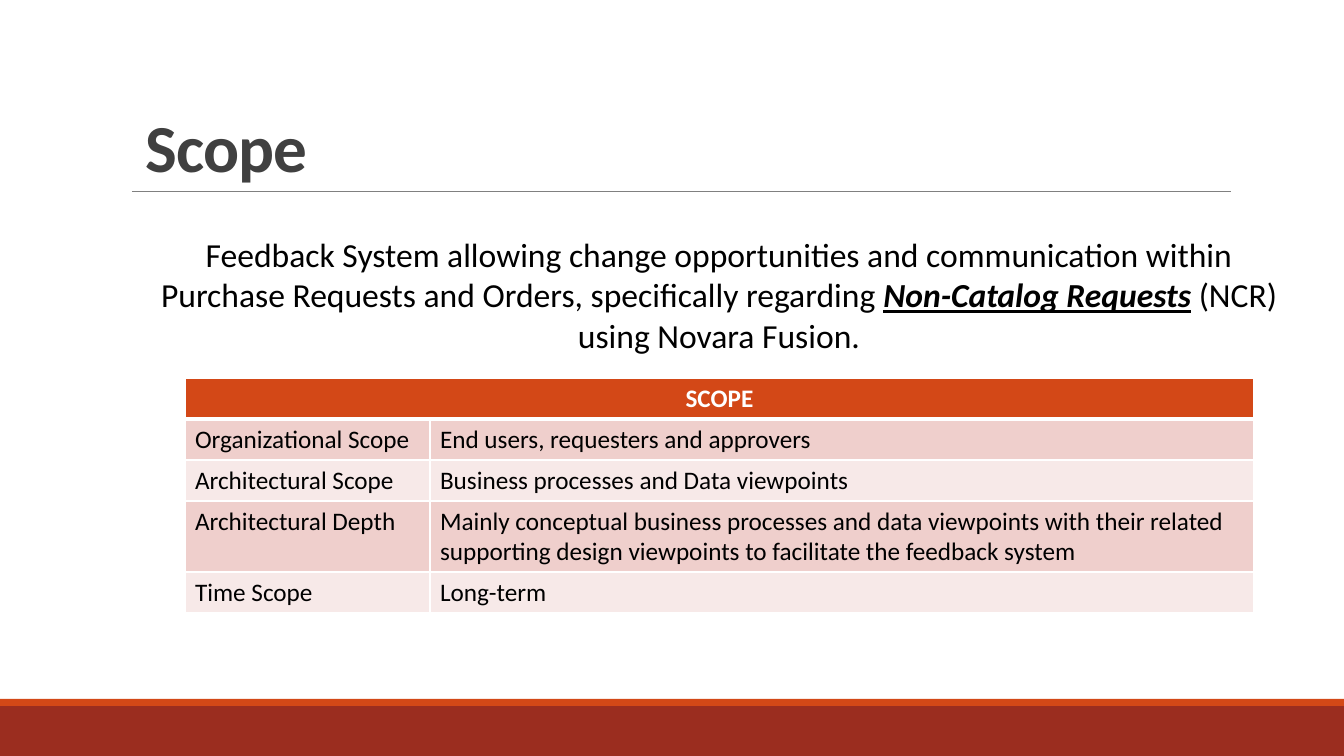
from lxml import etree
from pptx import Presentation, util as u
from pptx.dml.color import RGBColor
from pptx.enum import shapes, text
from pptx.oxml.ns import qn

# Content
TITLE = "Scope"
SUMMARY = [
    ("Feedback System allowing change opportunities and communication within "
     "Purchase Requests and Orders, specifically regarding ", {}),
    ("Non-Catalog Requests", {"bold": True, "italic": True, "underline": True}),
    (" (NCR) using Novara Fusion.", {}),
]
HEADER = "SCOPE"
SCOPES = [
    ("Organizational Scope", "End users, requesters and approvers"),
    ("Architectural Scope", "Business processes and Data viewpoints"),
    ("Architectural Depth",
     "Mainly conceptual business processes and data viewpoints with their related "
     "supporting design viewpoints to facilitate the feedback system"),
    ("Time Scope", "Long-term"),
]

# Style and layout, lengths in px
COLORS = {
    "accent": "D34817", "footer": "9B2D1F", "rule": "808080", "title": "404040",
    "black": "000000", "white": "FFFFFF", "odd": "EFCFCC", "even": "F7E9E8",
}
FONT = "Calibri"
PX = u.Inches(1) / 100.8
PAGE_W, PAGE_H = 1344, 756
FOOTER_BANDS = [("footer", 706, 50), ("accent", 699, 7)]
RULE = (132, 191, 1231, 191)
TITLE_BOX = (121, 31, 1109, 160)
SUMMARY_BOX = (138, 229, 1162, 132)
TABLE_LEFT, TABLE_TOP = 185, 378
COLUMNS = [245, 824]
ROWS = [41, 41, 41, 71, 41]


def px(*lengths):
    return [u.Emu(round(length * PX)) for length in lengths]


def color(name):
    return RGBColor.from_string(COLORS[name])


def add_span(para, words, size, tint, **formats):
    span = para.add_run()
    span.text = words
    span.font.color.rgb = color(tint)
    for name, value in {"name": FONT, "size": u.Pt(size), **formats}.items():
        setattr(span.font, name, value)
    return span


def add_text_box(page, place, **formats):
    frame = page.shapes.add_textbox(*px(*place)).text_frame
    for name, value in {"word_wrap": True, **formats}.items():
        setattr(frame, name, value)
    return frame.paragraphs[0]


def set_borders(cell, **widths):
    properties = cell._tc.get_or_add_tcPr()
    for index, side in enumerate("LRTB"):
        line = etree.Element(qn(f"a:ln{side}"), w=str(u.Pt(widths.get(side, 1))))
        fill = etree.SubElement(line, qn("a:solidFill"))
        etree.SubElement(fill, qn("a:srgbClr"), val=COLORS["white"])
        properties.insert(index, line)


def add_frame(page):
    # Footer bands and the rule below the title
    for tint, top, height in FOOTER_BANDS:
        band = page.shapes.add_shape(shapes.MSO_SHAPE.RECTANGLE,
                                     *px(0, top, PAGE_W, height))
        band.shadow.inherit = False
        band.fill.solid()
        band.fill.fore_color.rgb = color(tint)
        band.line.fill.background()
    rule = page.shapes.add_connector(shapes.MSO_CONNECTOR.STRAIGHT, *px(*RULE))
    rule.line.color.rgb = color("rule")
    rule.line.width = u.Pt(0.5)
    etree.SubElement(rule._element.spPr, qn("a:effectLst"))


def add_scope_table(page):
    table = page.shapes.add_table(
        len(ROWS), len(COLUMNS),
        *px(TABLE_LEFT, TABLE_TOP, sum(COLUMNS), sum(ROWS))).table
    for column, width in zip(table.columns, px(*COLUMNS)):
        column.width = width
    for row, height in zip(table.rows, px(*ROWS)):
        row.height = height
    table.cell(0, 0).merge(table.cell(0, 1))

    for r, words in enumerate([(HEADER, "")] + SCOPES):
        header = r == 0
        shade = "accent" if header else "odd" if r % 2 else "even"
        for c, word in enumerate(words):
            cell = table.cell(r, c)
            cell.fill.solid()
            cell.fill.fore_color.rgb = color(shade)
            set_borders(cell, T=3 if r == 1 else 1, B=3 if header else 1)
            if word:
                para = cell.text_frame.paragraphs[0]
                if header:
                    para.alignment = text.PP_ALIGN.CENTER
                add_span(para, word, 18, "white" if header else "black", bold=header)


def main():
    deck = Presentation()
    deck.slide_width, deck.slide_height = px(PAGE_W, PAGE_H)
    page = deck.slides.add_slide(deck.slide_layouts[6])
    add_frame(page)

    # Title
    para = add_text_box(page, TITLE_BOX, margin_left=px(24)[0],
                        vertical_anchor=text.MSO_ANCHOR.BOTTOM)
    para.line_spacing = 0.85
    span = add_span(para, TITLE, 48, "title", bold=True)
    span.font._element.set("spc", "-50")

    add_scope_table(page)

    # Summary
    para = add_text_box(page, SUMMARY_BOX)
    para.alignment = text.PP_ALIGN.CENTER
    for words, formats in SUMMARY:
        add_span(para, words, 24, "black", **formats)

    deck.save("out.pptx")


if __name__ == "__main__":
    main()
